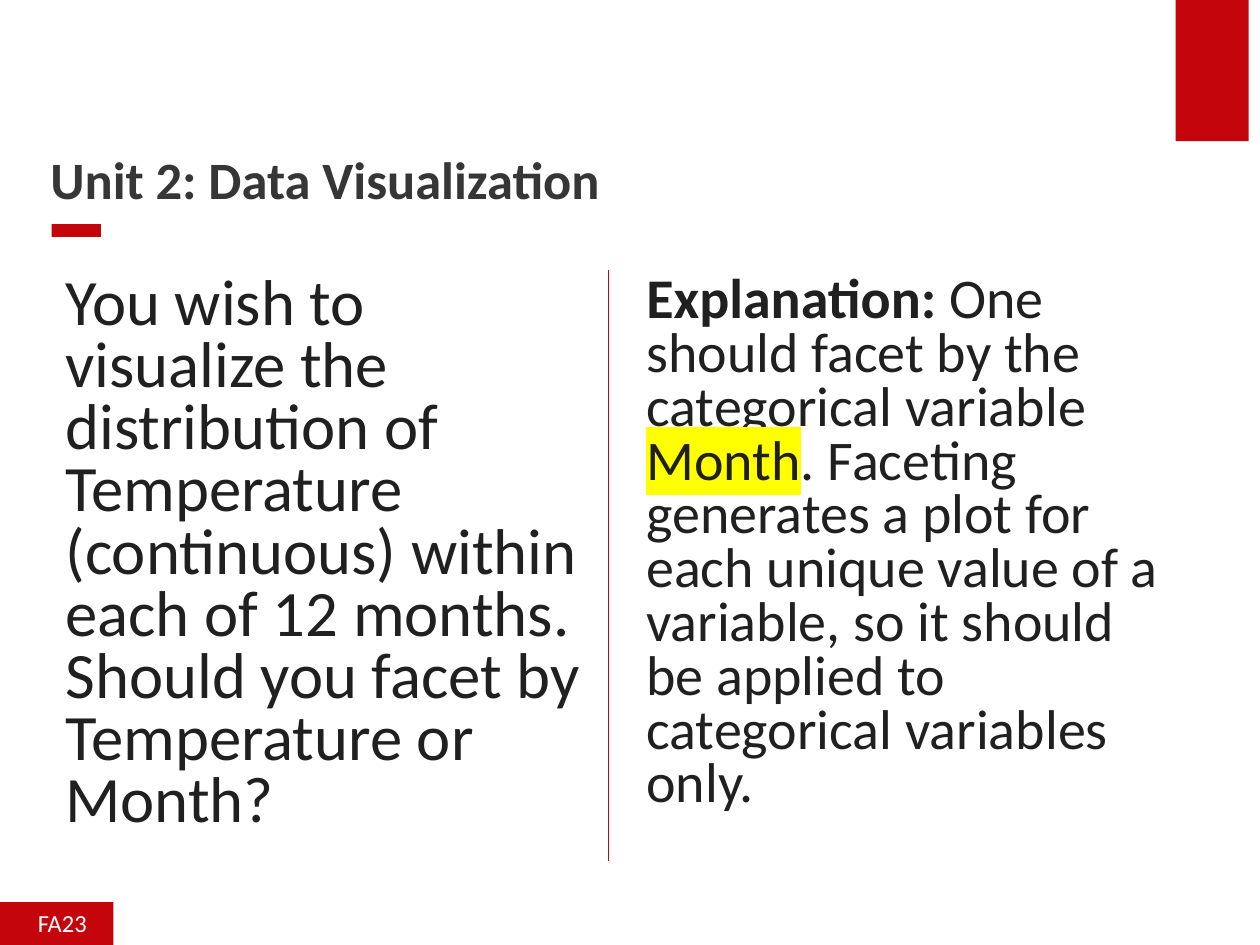
from dataclasses import dataclass

from lxml import etree
from pptx import Presentation
from pptx.dml.color import RGBColor
from pptx.enum.shapes import MSO_CONNECTOR, MSO_SHAPE
from pptx.enum.text import MSO_ANCHOR, MSO_AUTO_SIZE, PP_ALIGN
from pptx.oxml.ns import qn
from pptx.util import Inches, Pt

RECTANGLE = MSO_SHAPE.RECTANGLE
STRAIGHT = MSO_CONNECTOR.STRAIGHT
TOP, MIDDLE, BOTTOM = MSO_ANCHOR.TOP, MSO_ANCHOR.MIDDLE, MSO_ANCHOR.BOTTOM
LEFT = PP_ALIGN.LEFT
NO_AUTO_SIZE = MSO_AUTO_SIZE.NONE

RED = RGBColor(0xC5, 0x05, 0x0C)
TITLE_GRAY = RGBColor(0x36, 0x36, 0x36)
BODY_GRAY = RGBColor(0x20, 0x20, 0x20)
WHITE = RGBColor(0xFF, 0xFF, 0xFF)
YELLOW = RGBColor(0xFF, 0xFF, 0x00)

FONT = "Calibri"
SLIDE_WIDTH, SLIDE_HEIGHT = Inches(10), Inches(7.5)
COLUMNS, ROWS = 100, 75  # square grid cells over the slide


@dataclass(frozen=True)
class Area:
    column: float
    row: float
    columns: float
    rows: float

    def box(self) -> tuple[int, int, int, int]:
        return (across(self.column), down(self.row),
                across(self.columns), down(self.rows))


@dataclass(frozen=True)
class Span:
    text: str
    bold: bool = False
    highlight: RGBColor | None = None


@dataclass(frozen=True)
class Panel:
    column: float
    size: float
    spans: tuple[Span, ...]


BLOCKS = (Area(93.3, 0, 5.8, 11.2), Area(4.1, 17.8, 3.9, 1))
TITLE_AREA = Area(4, 5, 87.5, 11.7)
TERM_AREA = Area(0, 71.6, 9, 3.8)
PANEL_ROW, PANEL_COLUMNS, PANEL_ROWS = 21.4, 46, 48.6
DIVIDER_COLUMN, DIVIDER_END = 48.3, 68.3

PANELS = (
    Panel(1.4, 37, (
        Span("You wish to visualize the distribution of Temperature "
             "(continuous) within each of 12 months. Should you facet by "
             "Temperature or Month?"),
    )),
    Panel(47.5, 32, (
        Span("Explanation: ", bold=True),
        Span("One should facet by the categorical variable "),
        Span("Month", highlight=YELLOW),
        Span(". Faceting generates a plot for each unique value of a "
             "variable, so it should be applied to categorical variables "
             "only."),
    )),
)


def across(columns: float) -> int:
    return round(SLIDE_WIDTH * columns / COLUMNS)


def down(rows: float) -> int:
    return round(SLIDE_HEIGHT * rows / ROWS)


def highlight(run, color: RGBColor) -> None:
    mark = etree.Element(qn("a:highlight"))
    etree.SubElement(mark, qn("a:srgbClr"), val=str(color))
    run.font.fill  # the highlight follows the text fill
    run.font._element.find(qn("a:solidFill")).addnext(mark)


def write_text(shape, spans: tuple[Span, ...], *, size: float,
               color: RGBColor, insets: tuple[float, float, float, float],
               line_spacing: float, space_before: float = 0,
               anchor=TOP, wrap: bool = True) -> None:
    frame = shape.text_frame
    frame.auto_size = NO_AUTO_SIZE
    frame.word_wrap = wrap
    frame.vertical_anchor = anchor
    (frame.margin_left, frame.margin_top,
     frame.margin_right, frame.margin_bottom) = map(Inches, insets)
    para = frame.paragraphs[0]
    para.alignment = LEFT
    para.line_spacing = line_spacing
    para.space_before = Pt(space_before)
    for span in spans:
        run = para.add_run()
        run.text = span.text
        run.font.name = FONT
        run.font.size = Pt(size)
        run.font.bold = span.bold
        run.font.color.rgb = color
        if span.highlight is not None:
            highlight(run, span.highlight)


def add_block(page, area: Area):
    block = page.shapes.add_shape(RECTANGLE, *area.box())
    block.shadow.inherit = False
    block.fill.solid()
    block.fill.fore_color.rgb = RED
    block.line.fill.background()
    return block


def add_panel(page, panel: Panel) -> None:
    area = Area(panel.column, PANEL_ROW, PANEL_COLUMNS, PANEL_ROWS)
    box = page.shapes.add_textbox(*area.box())
    write_text(box, panel.spans, size=panel.size, color=BODY_GRAY,
               insets=(0.38, 0.05, 0.1, 0.05), line_spacing=0.8,
               space_before=3.8)


def add_divider(page) -> None:
    line = page.shapes.add_connector(
        STRAIGHT, across(DIVIDER_COLUMN), down(PANEL_ROW),
        across(DIVIDER_COLUMN), down(DIVIDER_END))
    line.line.color.rgb = RED
    line.line.width = Pt(0.5)
    etree.SubElement(line._element.spPr, qn("a:effectLst"))


def main() -> None:
    deck = Presentation()
    deck.slide_width, deck.slide_height = SLIDE_WIDTH, SLIDE_HEIGHT
    page = deck.slides.add_slide(deck.slide_layouts.get_by_name("Title Only"))

    # Red accents
    for area in BLOCKS:
        add_block(page, area)

    # Title
    title = page.shapes.title
    title.left, title.top, title.width, title.height = TITLE_AREA.box()
    write_text(title, (Span("Unit 2: Data Visualization", bold=True),),
               size=30, color=TITLE_GRAY, insets=(0, 0.05, 0.1, 0),
               line_spacing=0.9, anchor=BOTTOM)

    # Question and explanation
    for panel in PANELS:
        add_panel(page, panel)
    add_divider(page)

    # Term label
    write_text(add_block(page, TERM_AREA), (Span("FA23"),), size=14,
               color=WHITE, insets=(0.3, 0.07, 0.2, 0.1), line_spacing=0.9,
               space_before=7.5, anchor=MIDDLE, wrap=False)

    deck.save("out.pptx")


if __name__ == "__main__":
    main()
